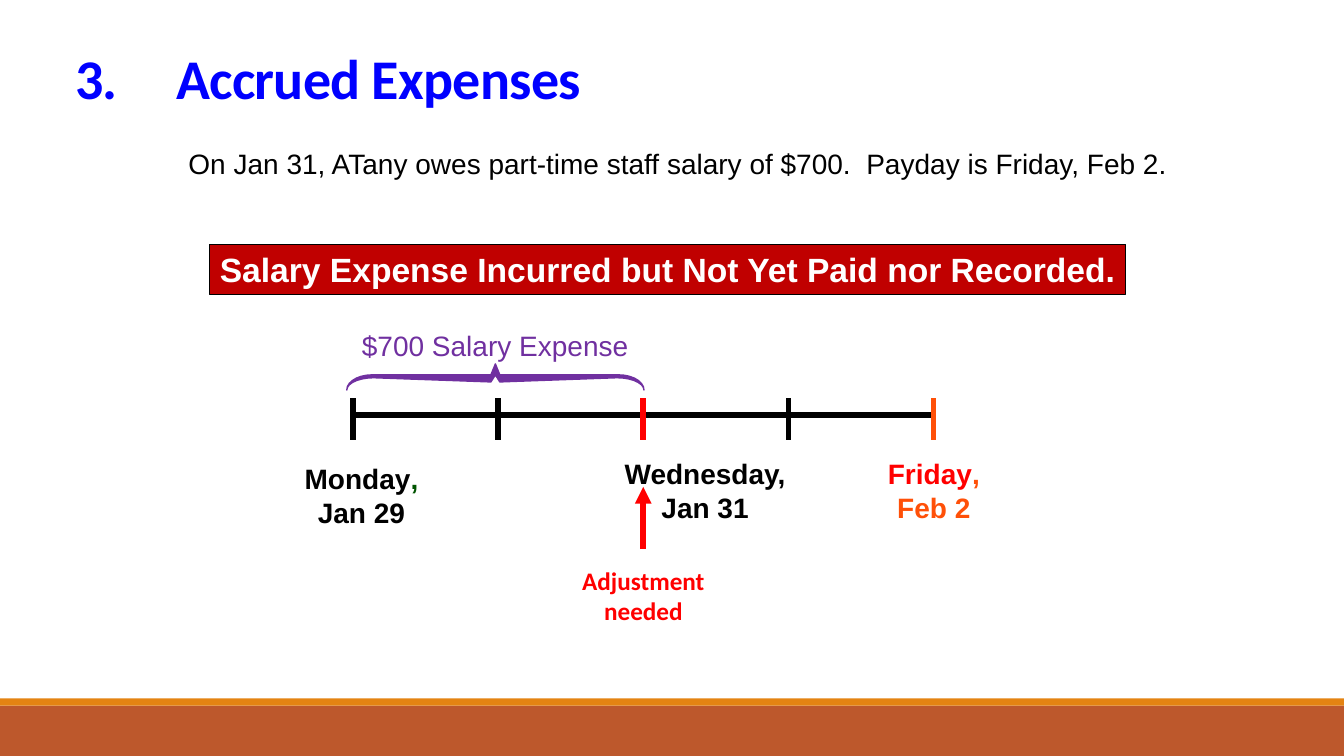
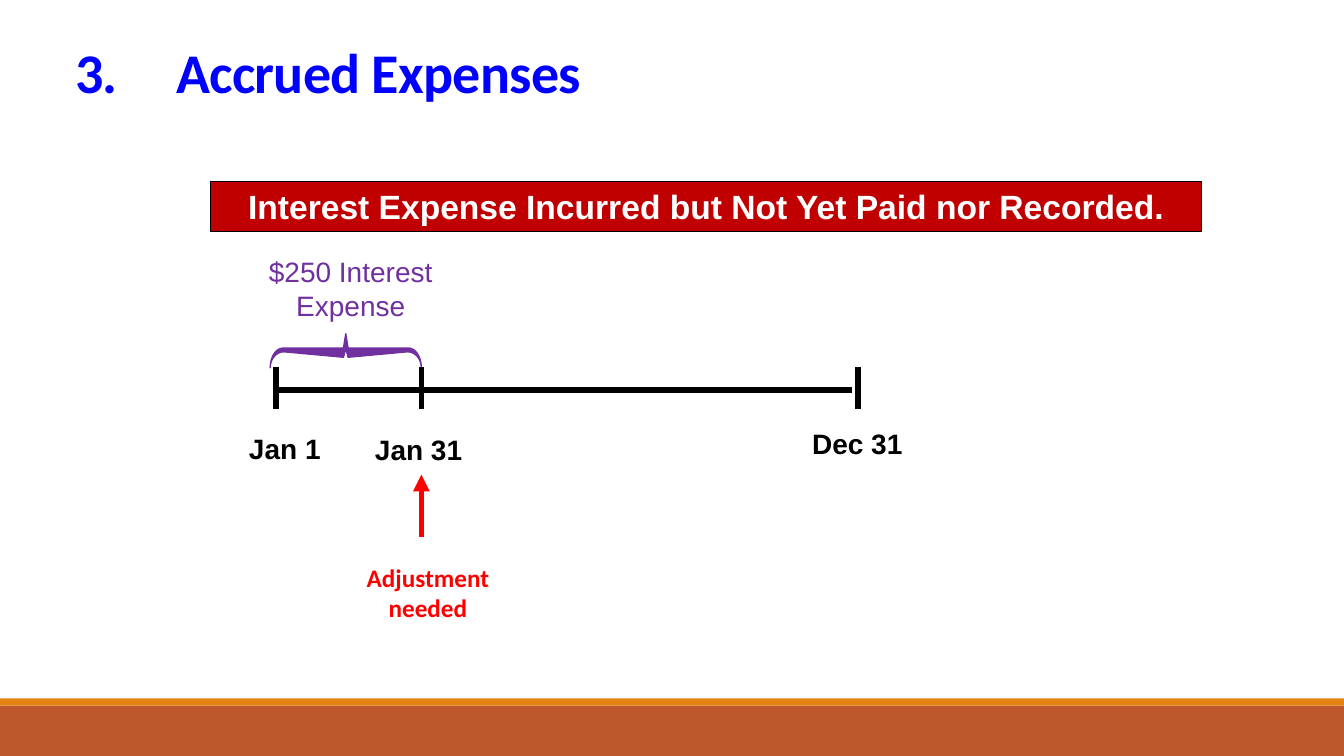
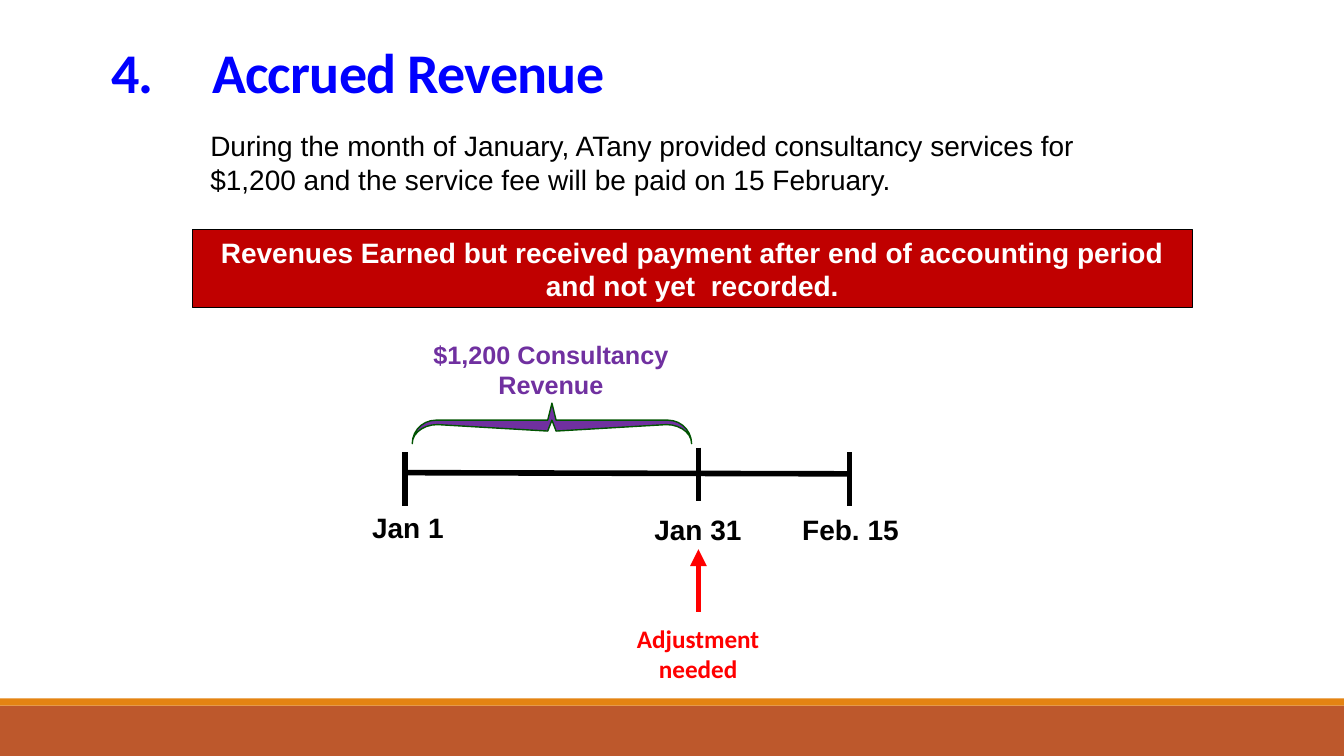
from math import cos, pi, sin

from lxml.etree import SubElement
from pptx import Presentation
from pptx.dml.color import RGBColor
from pptx.enum.shapes import MSO_CONNECTOR, MSO_SHAPE
from pptx.enum.text import MSO_ANCHOR, MSO_AUTO_SIZE, PP_ALIGN
from pptx.oxml.ns import qn
from pptx.util import Cm, Pt

BLACK = RGBColor(0x00, 0x00, 0x00)
WHITE = RGBColor(0xFF, 0xFF, 0xFF)
BLUE = RGBColor(0x00, 0x00, 0xFF)
RED = RGBColor(0xFF, 0x00, 0x00)
CRIMSON = RGBColor(0xC0, 0x00, 0x00)
ORANGE = RGBColor(0xFF, 0x50, 0x08)
GREEN = RGBColor(0x00, 0x54, 0x00)
PURPLE = RGBColor(0x70, 0x30, 0xA0)
RUST = RGBColor(0xBD, 0x58, 0x2C)
AMBER = RGBColor(0xE4, 0x83, 0x12)

WIDE, HIGH = 33.87, 19.05


class Deck:
    """Holds the shared style and the slide being built; lengths are in cm."""

    def __init__(self):
        self.file = Presentation()
        self.file.slide_width = Cm(WIDE)
        self.file.slide_height = Cm(HIGH)
        self.slide = None

    def page(self, title, top, width, height=1.7):
        first = self.slide is None
        self.slide = self.file.slides.add_slide(self.file.slide_layouts[5])
        self.shapes = self.slide.shapes
        if first:
            self.bands()
        head = self.shapes.title
        head.left, head.top = Cm(0), Cm(top)
        head.width, head.height = Cm(width), Cm(height)
        frame = head.text_frame
        frame.text = title
        frame.auto_size = MSO_AUTO_SIZE.NONE
        frame.vertical_anchor = MSO_ANCHOR.TOP
        self.dress(frame, 40, BLUE, True, "Calibri", PP_ALIGN.CENTER)
        par = frame.paragraphs[0]
        par.line_spacing = 0.85
        par.runs[0].font.element.set("spc", "-50") if hasattr(
            par.runs[0].font, "element") else par.runs[0]._r.rPr.set("spc", "-50")
        tabs = SubElement(par._p.get_or_add_pPr(), qn("a:tabLst"))
        SubElement(tabs, qn("a:tab"), pos=str(Cm(2.54)), algn="l")

    def bands(self):
        """Draw the footer bands and move them to the slide master."""
        master = self.file.slide_master.shapes.element
        for key, (top, height, color) in enumerate(
                [(17.78, 1.27, RUST), (17.6, 0.18, AMBER)], 20):
            band = self.rect(0, top, WIDE, height, color)
            band.line.fill.background()
            band.element.nvSpPr.cNvPr.set("id", str(key))
            master.append(band.element)

    def rect(self, left, top, width, height, color):
        shape = self.shapes.add_shape(
            MSO_SHAPE.RECTANGLE, Cm(left), Cm(top), Cm(width), Cm(height))
        self.paint(shape, color)
        return shape

    def paint(self, shape, color):
        shape.shadow.inherit = False
        shape.fill.solid()
        shape.fill.fore_color.rgb = color

    def dress(self, frame, size, color, bold, font, align):
        for par in frame.paragraphs:
            par.alignment = align
            for run in par.runs:
                self.ink(run, size, color, bold, font)

    def ink(self, run, size, color, bold, font="Arial"):
        run.font.size = Pt(size)
        run.font.bold = bold
        run.font.name = font
        run.font.color.rgb = color

    def note(self, text, left, top, width, height, color=BLACK, size=20,
             bold=False, font="Arial", align=PP_ALIGN.CENTER):
        box = self.shapes.add_textbox(Cm(left), Cm(top), Cm(width), Cm(height))
        frame = box.text_frame
        frame.word_wrap = True
        frame.text = text
        self.dress(frame, size, color, bold, font, align)
        return frame

    def fact(self, text, left, top, width, height):
        self.note(text, left, top, width, height, align=PP_ALIGN.LEFT)

    def date(self, text, left, top, width, height=1.09, color=BLACK):
        return self.note(text, left, top, width, height, color, bold=True)

    def tail(self, frame, text, color):
        """Add a differently coloured end to the first line of a date."""
        run = frame.paragraphs[0].add_run()
        run.text = text
        self.ink(run, 20, color, True)

    def banner(self, text, left, top, width, height=1.27, size=24):
        shape = self.rect(left, top, width, height, CRIMSON)
        shape.line.color.rgb = BLACK
        shape.line.width = Pt(0.75)
        frame = shape.text_frame
        frame.word_wrap = True
        frame.margin_left = frame.margin_right = Cm(0.2)
        frame.text = text
        self.dress(frame, size, WHITE, True, "Arial", PP_ALIGN.CENTER)

    def line(self, x1, y1, x2, y2, color=BLACK, arrow=False):
        link = self.shapes.add_connector(
            MSO_CONNECTOR.STRAIGHT, Cm(x1), Cm(y1), Cm(x2), Cm(y2))
        link.line.color.rgb = color
        link.line.width = Pt(4)
        props = link.element.spPr
        if arrow:
            SubElement(props.find(qn("a:ln")), qn("a:tailEnd"), type="triangle")
        SubElement(props, qn("a:effectLst"))

    def tick(self, x, top, height=1.05, color=BLACK):
        self.line(x, top, x, top + height, color)

    def adjust(self, x, tip, left, top):
        """Point a red arrow up at a date, with its caption below."""
        self.line(x, tip + 1.57, x, tip, RED, arrow=True)
        self.note("Adjustment\u0020needed", left, top, 3.89, 1.8, RED, 18,
                  True, "Calibri")

    def brace(self, left, top, width, height, edge=PURPLE):
        """Draw a brace from its left half and the mirrored right half."""
        turns = [step * pi / 14 for step in range(8)]
        outer = [(0.085 * (1 - sin(a)), 1 - 0.58 * cos(a)) for a in turns]
        inner = [(0.09 * (1 - sin(a)), 1 - 0.47 * cos(a)) for a in turns]
        half = [(0.5, 0), (0.485, 0.42), *outer, *reversed(inner),
                (0.485, 0.69), (0.5, 0.42)]
        whole = half + [(1 - x, y) for x, y in reversed(half)]
        spots = [(Cm(left + x * width), Cm(top + y * height)) for x, y in whole]
        pen = self.shapes.build_freeform(*spots[0])
        pen.add_line_segments(spots[1:], close=True)
        shape = pen.convert_to_shape()
        self.paint(shape, PURPLE)
        shape.line.color.rgb = edge
        shape.line.width = Pt(1)


def salary(deck):
    deck.page("3. \tAccrued Expenses", 1.22, 16.54)
    deck.fact("On Jan 31, ATany owes part-time staff salary of $700.  "
              "Payday is Friday, Feb 2.", 4.5, 3.56, 25.83, 1.09)
    deck.banner("Salary Expense Incurred but Not Yet Paid nor Recorded.",
                5.28, 6.15, 23.09)
    deck.note("$700 Salary Expense", 8.1, 8.15, 8.76, 1.09, PURPLE)
    deck.brace(8.74, 9.17, 7.49, 0.66)
    deck.line(8.94, 10.46, 23.47, 10.46)
    for day, color in enumerate([BLACK, BLACK, RED, BLACK, ORANGE]):
        deck.tick(8.89 + 3.66 * day, 10.03, color=color)
    monday = deck.date("Monday\nJan 29", 6.76, 11.51, 4.7, 1.96)
    deck.tail(monday, ",", GREEN)
    deck.date("Wednesday,\nJan 31", 14.71, 11.38, 6.12, 1.96)
    friday = deck.date("Friday", 21.59, 11.38, 3.89, 1.96, RED)
    deck.tail(friday, ", Feb 2", ORANGE)
    deck.adjust(16.21, 12.27, 14.27, 14.12)


def interest(deck):
    deck.page("3. \tAccrued Expenses", 1.09, 16.54)
    deck.banner("Interest Expense Incurred but Not Yet Paid nor Recorded.",
                5.31, 4.57, 24.97)
    deck.note("$250 Interest\nExpense", 5.31, 6.3, 7.06, 1.96, PURPLE)
    deck.brace(6.81, 8.41, 3.81, 0.86)
    deck.line(6.96, 9.83, 21.46, 9.83)
    for x in (6.96, 10.62, 21.62):
        deck.tick(x, 9.25)
    deck.date("Jan 1", 4.83, 10.74, 4.7)
    deck.date("Jan 31", 8.2, 10.77, 4.7)
    deck.date("Dec 31", 19.66, 10.62, 3.89)
    deck.adjust(10.62, 11.96, 8.84, 14.05)


def revenue(deck):
    deck.page("4. \tAccrued Revenue", 1.09, 18.04, 3.18)
    deck.fact("During the month of January, ATany provided consultancy "
              "services for $1,200 and the service fee will be paid on "
              "15 February.", 5.05, 3.12, 24.41, 1.96)
    deck.banner("Revenues Earned but received payment after end of accounting "
                "period and not yet  recorded.", 4.85, 5.79, 25.2, 1.96, 20)
    deck.note("$1,200 Consultancy\nRevenue", 9.3, 8.43, 9.17, 1.78, PURPLE,
              18, True)
    deck.brace(10.39, 10.16, 7.04, 1.02, GREEN)
    deck.line(10.21, 11.91, 21.41, 11.94)
    for x, top in ((10.21, 11.4), (17.6, 11.28), (21.41, 11.4)):
        deck.tick(x, top, 1.35)
    deck.date("Jan 1", 7.09, 12.75, 6.38)
    deck.date("Jan 31", 14.4, 12.8, 6.38)
    deck.date("Feb. 15", 18.92, 12.8, 5.03)
    deck.adjust(17.6, 13.84, 15.65, 15.57)


def main():
    deck = Deck()
    for build in (salary, interest, revenue):
        build(deck)
    deck.file.save("out.pptx")


if __name__ == "__main__":
    main()
